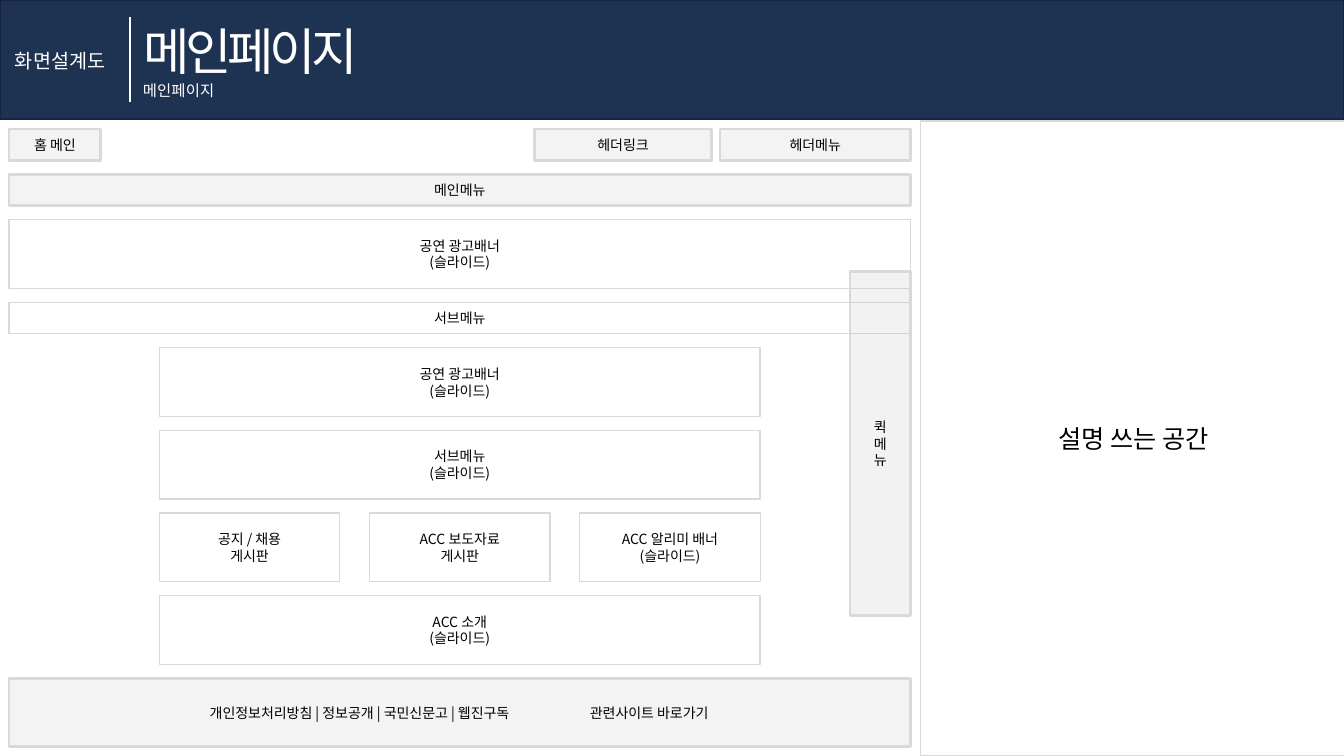
from dataclasses import dataclass

from lxml import etree
from pptx import Presentation
from pptx import util as u
from pptx.dml.color import RGBColor
from pptx.enum import shapes, text
from pptx.oxml.ns import qn
from pptx.shapes.autoshape import Shape
from pptx.slide import Slide
from pptx.text.text import TextFrame

NAVY = RGBColor(0x1E, 0x32, 0x52)
NAVY_EDGE = RGBColor(0x16, 0x25, 0x3D)
WHITE = RGBColor(0xFF, 0xFF, 0xFF)
BLACK = RGBColor(0x00, 0x00, 0x00)
SILVER = RGBColor(0xD9, 0xD9, 0xD9)
GRAY = RGBColor(0xBF, 0xBF, 0xBF)
KOREAN_FONT = "Noto Sans CJK KR"

# Wireframe grid, in inches
PAGE_LEFT, PAGE_WIDTH = 0.09, 8.94
INNER_LEFT, INNER_WIDTH = 1.58, 5.96
TOP, GAP, BAR, BLOCK = 1.28, 0.14, 0.31, 0.68
CARD_WIDTH = 1.79
CARD_STEP = (INNER_WIDTH - CARD_WIDTH) / 2


@dataclass(frozen=True)
class Box:
    left: float
    width: float
    label: str = ""
    fill: RGBColor = WHITE
    opacity: int = 100
    border: RGBColor = SILVER
    border_width: float = 1
    size: int = 10


@dataclass(frozen=True)
class Row:
    height: float
    boxes: tuple[Box, ...]


@dataclass(frozen=True)
class Heading:
    left: float
    top: float
    width: float
    height: float
    label: str
    size: int
    font: str = KOREAN_FONT
    tracking: int = 0


def tinted(left: float, width: float, label: str) -> Box:
    return Box(left, width, label, SILVER, 30, border_width=2)


def write(frame: TextFrame, label: str, size: int, color: RGBColor, align: text.PP_ALIGN,
          leading: float, name: str = KOREAN_FONT, tracking: int = 0) -> None:
    frame.word_wrap = True
    frame.text = label
    for paragraph in frame.paragraphs:
        paragraph.alignment = align
        paragraph.line_spacing = u.Pt(round(size * leading))
        font = paragraph.font
        font.size, font.name = u.Pt(size), name
        font.color.rgb = color
        properties = paragraph._p.pPr.find(qn("a:defRPr"))
        etree.SubElement(properties, qn("a:ea")).set("typeface", name)
        if tracking:
            properties.set("spc", str(tracking))


def draw_box(slide: Slide, box: Box, top: float, height: float) -> Shape:
    shape = slide.shapes.add_shape(
        shapes.MSO_SHAPE.RECTANGLE, u.Inches(box.left), u.Inches(top),
        u.Inches(box.width), u.Inches(height))
    shape.shadow.inherit = False
    shape.fill.solid()
    shape.fill.fore_color.rgb = box.fill
    if box.opacity < 100:
        color = shape._element.spPr.find(qn("a:solidFill"))[0]
        etree.SubElement(color, qn("a:alpha")).set("val", str(box.opacity * 1000))
    shape.line.color.rgb = box.border
    shape.line.width = u.Pt(box.border_width)
    if box.label:
        shape.text_frame.vertical_anchor = text.MSO_ANCHOR.MIDDLE
        write(shape.text_frame, box.label, box.size, BLACK, text.PP_ALIGN.CENTER, 1.2)
    return shape


def format_heading(shape: Shape, heading: Heading) -> None:
    shape.left, shape.top = u.Inches(heading.left), u.Inches(heading.top)
    shape.width, shape.height = u.Inches(heading.width), u.Inches(heading.height)
    shape.text_frame.auto_size = text.MSO_AUTO_SIZE.NONE
    shape.text_frame.vertical_anchor = text.MSO_ANCHOR.TOP
    write(shape.text_frame, heading.label, heading.size, WHITE, text.PP_ALIGN.LEFT,
          1.28, heading.font, heading.tracking)


def draw_header(slide: Slide) -> None:
    draw_box(slide, Box(0, 13.33, fill=NAVY, border=NAVY_EDGE), 0, 1.18)
    title = slide.shapes.title
    slide.shapes._spTree.append(title._element)  # bring in front of the banner
    format_heading(title, Heading(1.32, 0.11, 2.52, 0.71, "메인페이지", 36, tracking=-300))
    for heading in (
        Heading(0.05, 0.42, 1.18, 0.34, "화면설계도", 14),
        Heading(1.32, 0.74, 0.97, 0.29, "메인페이지", 11, "Arial"),
    ):
        format_heading(slide.shapes.add_textbox(0, 0, 0, 0), heading)
    divider = slide.shapes.add_connector(
        shapes.MSO_CONNECTOR.STRAIGHT, u.Inches(1.29), u.Inches(0.17),
        u.Inches(1.29), u.Inches(1.01))
    divider.line.color.rgb = WHITE
    divider.line.width = u.Pt(1.5)
    etree.SubElement(divider._element.spPr, qn("a:effectLst"))


def draw_footer(slide: Slide, top: float) -> None:
    links = "개인정보처리방침 | 정보공개 | 국민신문고 | 웹진구독\t관련사이트 바로가기"
    frame = draw_box(slide, tinted(PAGE_LEFT, PAGE_WIDTH, links), top, BLOCK).text_frame
    frame.margin_left = u.Inches(1.99)
    paragraph = frame.paragraphs[0]
    paragraph.alignment = text.PP_ALIGN.LEFT
    tabs = etree.Element(qn("a:tabLst"))
    etree.SubElement(tabs, qn("a:tab"), pos=str(u.Inches(3.77)), algn="l")
    paragraph._p.pPr.find(qn("a:defRPr")).addprevious(tabs)


CARDS = ("공지 / 채용\n게시판", "ACC 보도자료\n게시판", "ACC 알리미 배너\n(슬라이드)")
ROWS = (
    Row(BAR, (tinted(PAGE_LEFT, 0.91, "홈 메인"), tinted(5.3, 1.76, "헤더링크"),
              tinted(7.14, 1.89, "헤더메뉴"))),
    Row(BAR, (tinted(PAGE_LEFT, PAGE_WIDTH, "메인메뉴"),)),
    Row(BLOCK, (Box(PAGE_LEFT, PAGE_WIDTH, "공연 광고배너\n(슬라이드)"),)),
    Row(BAR, (Box(PAGE_LEFT, PAGE_WIDTH, "서브메뉴"),)),
    Row(BLOCK, (Box(INNER_LEFT, INNER_WIDTH, "공연 광고배너\n(슬라이드)"),)),
    Row(BLOCK, (Box(INNER_LEFT, INNER_WIDTH, "서브메뉴\n(슬라이드)"),)),
    Row(BLOCK, tuple(Box(INNER_LEFT + i * CARD_STEP, CARD_WIDTH, card)
                     for i, card in enumerate(CARDS))),
    Row(BLOCK, (Box(INNER_LEFT, INNER_WIDTH, "ACC 소개\n(슬라이드)"),)),
)


def main() -> None:
    presentation = Presentation()
    presentation.slide_width, presentation.slide_height = u.Inches(13.33), u.Inches(7.5)
    slide = presentation.slides.add_slide(presentation.slide_layouts[5])

    # Header and description panel
    draw_header(slide)
    draw_box(slide, Box(9.13, 4.22, "설명 쓰는 공간", size=18), 1.2, 6.3)

    # Wireframe rows, stacked with equal gaps
    top = TOP
    for row in ROWS:
        for box in row.boxes:
            draw_box(slide, box, top, row.height)
        top += row.height + GAP
    draw_footer(slide, top)

    # Floating quick menu
    draw_box(slide, Box(8.43, 0.6, "퀵\n메\n뉴", GRAY, 20, border_width=2), 2.69, 3.42)

    presentation.save("out.pptx")


if __name__ == "__main__":
    main()
